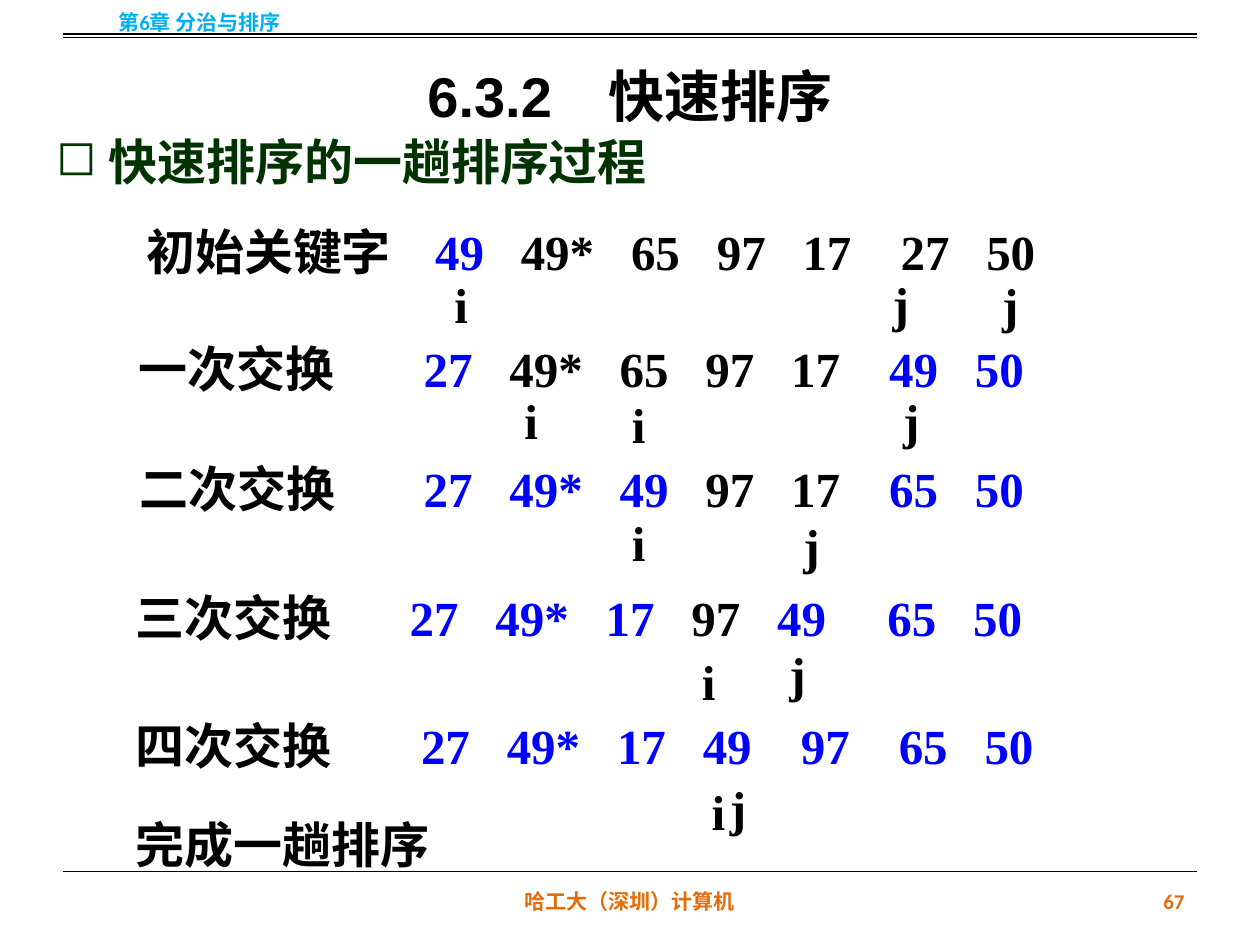
from lxml.etree import SubElement
from pptx import Presentation
from pptx.dml.color import RGBColor
from pptx.enum.shapes import MSO_CONNECTOR
from pptx.enum.text import MSO_ANCHOR, MSO_AUTO_SIZE, PP_ALIGN
from pptx.oxml.ns import qn
from pptx.util import Pt

BLACK = RGBColor(0x00, 0x00, 0x00)
BLUE = RGBColor(0x00, 0x00, 0xFF)
GREEN = RGBColor(0x00, 0x33, 0x00)
CYAN = RGBColor(0x00, 0xB0, 0xF0)
ORANGE = RGBColor(0xE4, 0x6C, 0x0A)

prs = Presentation()
prs.slide_width, prs.slide_height = Pt(720), Pt(540)
s = prs.slides.add_slide(prs.slide_layouts[5])


def add_text(parts, x, y, w, h=41, size=28, font="Times New Roman",
             align=PP_ALIGN.LEFT, anchor=MSO_ANCHOR.TOP, top=3.6,
             tabs=(), bullet=None, sp=None):
    sp = sp or s.shapes.add_textbox(0, 0, 0, 0)
    sp.left, sp.top, sp.width, sp.height = Pt(x), Pt(y), Pt(w), Pt(h)
    tf = sp.text_frame
    tf.word_wrap = True
    tf.auto_size = MSO_AUTO_SIZE.NONE
    tf.vertical_anchor = anchor
    tf.margin_top = Pt(top)
    p = tf.paragraphs[0]
    p.alignment = align
    pPr = p._p.get_or_add_pPr()
    if bullet:
        pPr.set("marL", str(Pt(30)))
        pPr.set("indent", str(Pt(-30)))
        SubElement(pPr, qn("a:buChar")).set("char", bullet)
    if tabs:
        tab_list = SubElement(pPr, qn("a:tabLst"))
        for pos in tabs:
            tab = SubElement(tab_list, qn("a:tab"))
            tab.set("pos", str(Pt(pos)))
            tab.set("algn", "l")
    for words, color in parts:
        r = p.add_run()
        r.text = words
        r.font.name = font
        r.font.size = Pt(size)
        r.font.bold = True
        r.font.color.rgb = color
    return p


p = add_text([("6.3.2　快速排序", BLACK)], 36, 0, 648, 90, size=32, font="Arial",
             align=PP_ALIGN.CENTER, anchor=MSO_ANCHOR.MIDDLE, sp=s.shapes.title)
p.line_spacing = 1.5

for words, color, x, y, w, align in [
    ("第6章 分治与排序", CYAN, 0, -2, 228, PP_ALIGN.CENTER),
    ("哈工大（深圳）计算机", ORANGE, 246, 500.5, 228, PP_ALIGN.CENTER),
    ("67", ORANGE, 516, 500.5, 168, PP_ALIGN.RIGHT),
]:
    add_text([(words, color)], x, y, w, 29, size=12, font="Calibri",
             align=align, anchor=MSO_ANCHOR.MIDDLE)

for y in (19.5, 21.5, 498):
    line = s.shapes.add_connector(MSO_CONNECTOR.STRAIGHT, Pt(36), Pt(y), Pt(684), Pt(y))
    line.line.color.rgb = BLACK
    line.line.width = Pt(0.75)
    SubElement(line._element.spPr, qn("a:effectLst"))

add_text([("快速排序的一趟排序过程", GREEN)], 25, 71.5, 458, bullet="◻")

CHAR, GAP = 14, 21
rows = [
    ("初始关键字", 76.5, 123, 165, "49 49* 65 97 17 27 50", {0}, {5: 28}),
    ("一次交换", 72, 190, 163, "27 49* 65 97 17 49 50", {0, 5, 6}, {5: 28}),
    ("二次交换", 72.5, 258.5, 162.5, "27 49* 49 97 17 65 50", {0, 1, 2, 5, 6}, {5: 28}),
    ("三次交换", 70.5, 332, 156.5, "27 49* 17 97 49 65 50", {0, 1, 2, 4, 5, 6}, {5: 35}),
    ("四次交换", 70.5, 405.5, 163, "27 49* 17 49 97 65 50", set(range(7)), {4: 28, 5: 28}),
]
for label, x, y, pos, keys, moved, wide in rows:
    parts, tabs = [(label, BLACK)], []
    for i, key in enumerate(keys.split()):
        if i:
            pos += wide.get(i, GAP)
        tabs.append(pos)
        pos += CHAR * len(key)
        parts.append(("\t" + key, BLUE if i in moved else BLACK))
    add_text(parts, x, y, 625, tabs=tabs)

add_text([("完成一趟排序", BLACK)], 70.5, 462, 187)

markers = [
    ("i", 252.5, 150.5), ("j", 503, 150), ("j", 565.5, 150.5),
    ("i", 292.5, 216.5), ("i", 354, 219), ("j", 509, 216.5),
    ("i", 354, 286.5), ("j", 452, 288),
    ("i", 394, 366), ("j", 444, 361.5),
    ("i", 399.5, 440), ("j", 410, 438),
]
for name, x, y in markers:
    add_text([(name, BLACK)], x, y, 29, top=6.5)

prs.save("out.pptx")
